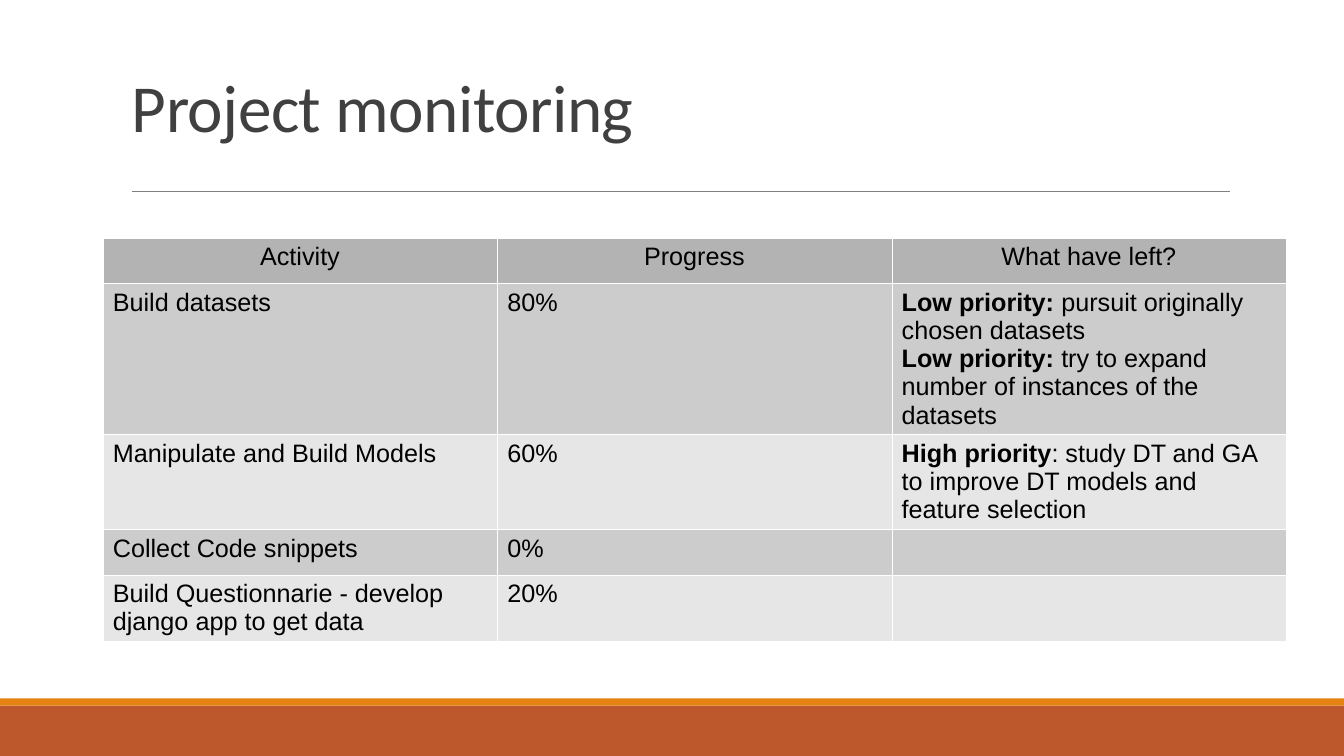
"""Build the project monitoring slide."""
from lxml.etree import SubElement
from pptx import Presentation
from pptx.dml.color import RGBColor
from pptx.enum.shapes import MSO_CONNECTOR, MSO_SHAPE
from pptx.enum.text import MSO_ANCHOR, MSO_AUTO_SIZE, PP_ALIGN
from pptx.oxml import parse_xml
from pptx.oxml.ns import nsdecls, qn
from pptx.util import Cm, Pt


def tint(code):
    return RGBColor.from_string(code)


def write(para, text, size=18, font="Arial", color="000000", bold=False,
          align=PP_ALIGN.LEFT):
    para.alignment = align
    run = para.add_run()
    run.text = text
    run.font.size = Pt(size)
    run.font.name = font
    run.font.bold = bold
    run.font.color.rgb = tint(color)
    return run


deck = Presentation()
deck.slide_width, deck.slide_height = Cm(33.87), Cm(19.05)
slide = deck.slides.add_slide(deck.slide_layouts[5])
shapes = slide.shapes

for top, high, color in [(17.78, 1.27, "BD582C"), (17.6, 0.18, "E48312")]:
    band = shapes.add_shape(MSO_SHAPE.RECTANGLE, 0, Cm(top), deck.slide_width, Cm(high))
    band.shadow.inherit = False
    band.fill.solid()
    band.fill.fore_color.rgb = tint(color)
    band.line.fill.background()

rule = shapes.add_connector(MSO_CONNECTOR.STRAIGHT, Cm(3.32), Cm(4.82), Cm(31), Cm(4.82))
rule.line.color.rgb = tint("808080")
rule.line.width = Pt(0.5)
SubElement(rule._element.spPr, qn("a:effectLst"))

title = shapes.title
title.left, title.top, title.width, title.height = Cm(3.07), Cm(1.6), Cm(27.94), Cm(2.21)
frame = title.text_frame
frame.auto_size = MSO_AUTO_SIZE.NONE
frame.word_wrap = True
frame.vertical_anchor = MSO_ANCHOR.BOTTOM
head = frame.paragraphs[0]
head.line_spacing = 0.85
run = write(head, "Project monitoring", size=48, font="Calibri", color="404040")
run._r.get_or_add_rPr().set("spc", "-40")

rows = [
    ("Activity", "Progress", "What have left?"),
    ("Build datasets", "80%", [
        ("Low priority:", " pursuit originally chosen datasets"),
        ("Low priority:", " try to expand number of instances of the datasets")]),
    ("Manipulate and Build Models", "60%", [
        ("High priority",
         ": study DT and GA to improve DT models and feature selection")]),
    ("Collect Code snippets", "0%", ""),
    ("Build Questionnarie - develop django app to get data", "20%", ""),
]
fills = ["B3B3B3", "CCCCCC", "E6E6E6", "CCCCCC", "E6E6E6"]
high = Cm(1.15)
table = shapes.add_table(len(rows), 3, Cm(2.59), Cm(5.99), Cm(29.82), high * len(rows)).table
table.first_row = table.horz_banding = False

for y, (row, color) in enumerate(zip(rows, fills)):
    table.rows[y].height = high
    for x, item in enumerate(row):
        cell = table.cell(y, x)
        props = cell._tc.get_or_add_tcPr()
        for side in "LRTB":
            props.append(parse_xml(
                f'<a:ln{side} {nsdecls("a")} w="762"><a:solidFill>'
                f'<a:srgbClr val="FFFFFF"/></a:solidFill></a:ln{side}>'))
        cell.fill.solid()
        cell.fill.fore_color.rgb = tint(color)
        frame = cell.text_frame
        if isinstance(item, list):
            for n, (lead, rest) in enumerate(item):
                para = frame.add_paragraph() if n else frame.paragraphs[0]
                write(para, lead, bold=True)
                write(para, rest)
        elif item:
            write(frame.paragraphs[0], item, align=PP_ALIGN.LEFT if y else PP_ALIGN.CENTER)

deck.save("out.pptx")
